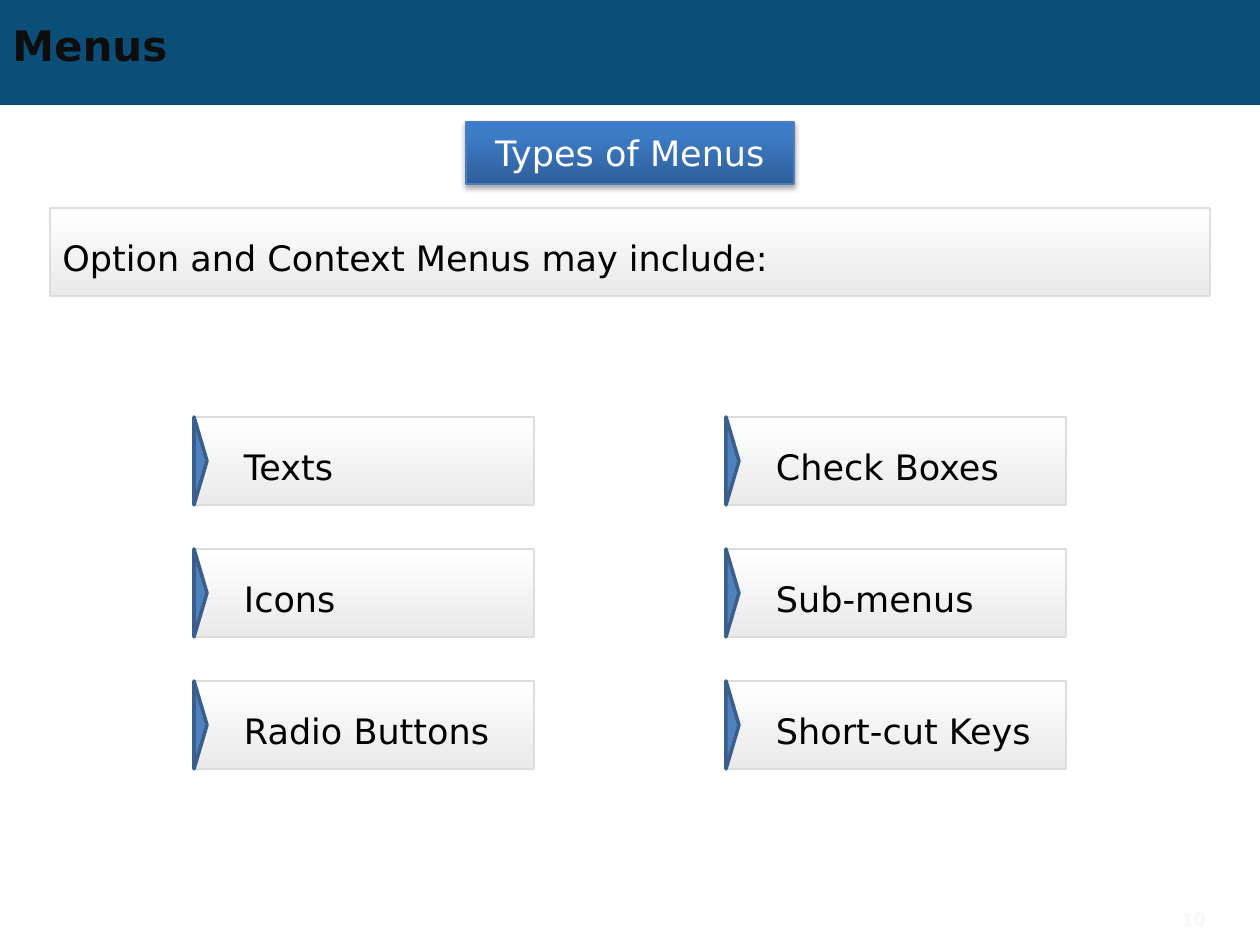
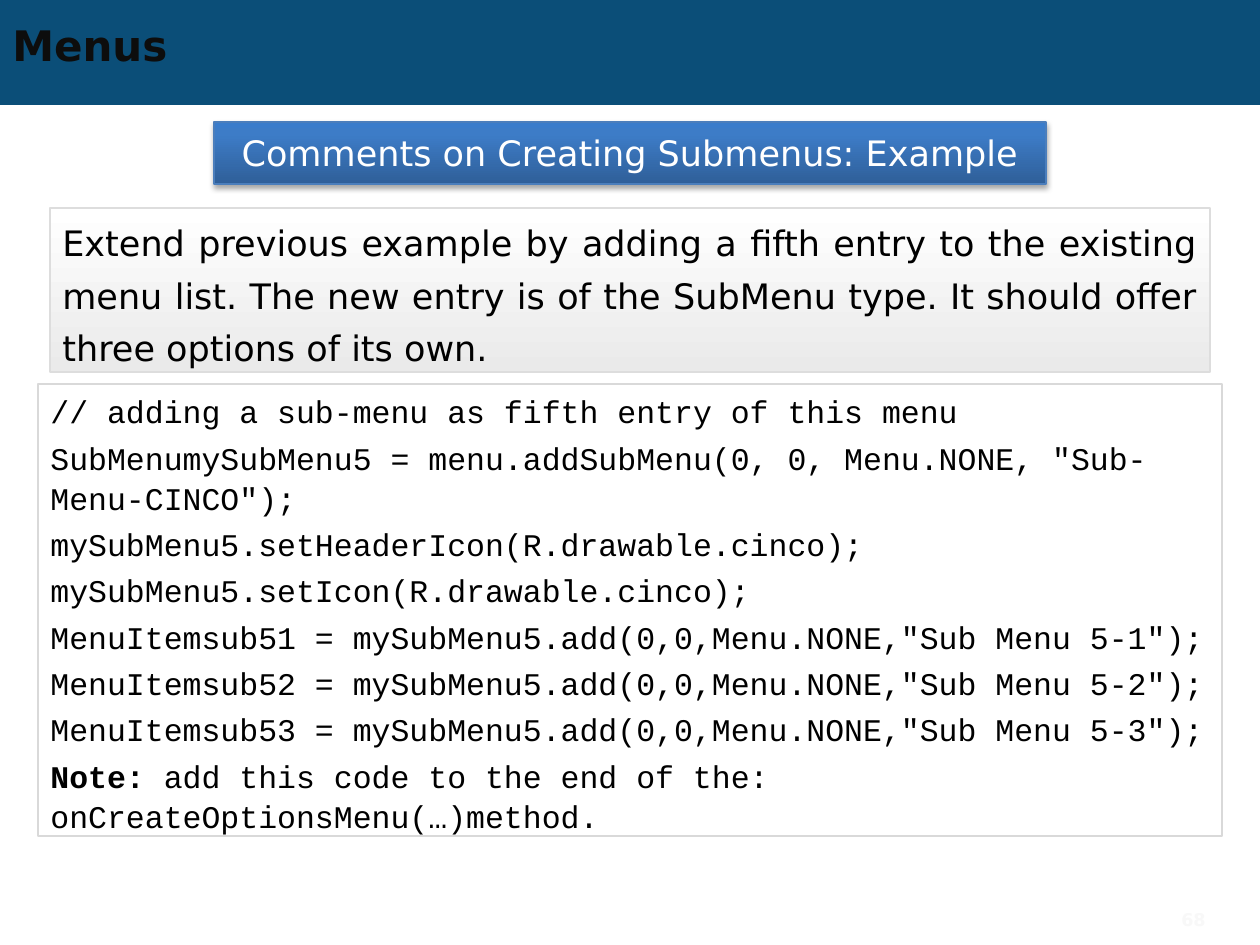
from pptx import Presentation
from pptx.dml.color import RGBColor
from pptx.enum.shapes import MSO_SHAPE as SHAPE
from pptx.enum.text import MSO_ANCHOR as ANCHOR, PP_ALIGN as ALIGN
from pptx.oxml import parse_xml
from pptx.oxml.ns import nsdecls, qn
from pptx.util import Pt

EMU_PER_PX = 914400 / 126
SLIDE_W, SLIDE_H = 1260, 945

BAND = RGBColor(0x0B, 0x4E, 0x78)
TITLE = RGBColor(0x0D, 0x0D, 0x0D)
BLACK = RGBColor(0x00, 0x00, 0x00)
WHITE = RGBColor(0xFF, 0xFF, 0xFF)
PAGE_NUMBER = RGBColor(0xF8, 0xF8, 0xF8)
HEADING_LINE = RGBColor(0x4B, 0x7E, 0xBC)
PANEL_LINE = RGBColor(0xDD, 0xDD, 0xDD)
CODE_LINE = RGBColor(0xD9, 0xD9, 0xD9)
MARKER = RGBColor(0x4F, 0x81, 0xBD)
MARKER_LINE = RGBColor(0x3A, 0x5F, 0x8C)

HEADING_STOPS = [(0, RGBColor(0x2F, 0x5F, 0x99)),
                 (80, RGBColor(0x3D, 0x7C, 0xC7)),
                 (100, RGBColor(0x3A, 0x7C, 0xCB))]
PANEL_STOPS = [(0, WHITE), (100, RGBColor(0xEA, 0xEA, 0xEA))]

SANS, MONO = "DejaVu Sans", "Courier New"

MENU_PARTS = [["Texts", "Icons", "Radio Buttons"],
              ["Check Boxes", "Sub-menus", "Short-cut Keys"]]
CODE = [
    "// adding a sub-menu as fifth entry of this menu",
    'SubMenumySubMenu5 = menu.addSubMenu(0, 0, Menu.NONE, "Sub-Menu-CINCO");',
    "mySubMenu5.setHeaderIcon(R.drawable.cinco);",
    "mySubMenu5.setIcon(R.drawable.cinco);",
    *[f'MenuItemsub5{n} = mySubMenu5.add(0,0,Menu.NONE,"Sub Menu 5-{n}");'
      for n in (1, 2, 3)],
]


def px(n):
    return round(n * EMU_PER_PX)


def add_box(shapes, kind, x, y, w, h, fill=None, line=None, line_pt=1):
    s = shapes.add_shape(kind, px(x), px(y), px(w), px(h))
    s.shadow.inherit = False
    if fill is None:
        s.fill.background()
    else:
        s.fill.solid()
        s.fill.fore_color.rgb = fill
    if line is None:
        s.line.fill.background()
    else:
        s.line.color.rgb = line
        s.line.width = Pt(line_pt)
    s.text_frame.word_wrap = True
    return s


def set_gradient(s, stops, angle):
    """Fill with (percent, colour) stops; angle in degrees clockwise."""
    s.fill.gradient()
    grad = s._element.spPr.find(qn("a:gradFill"))
    gs = "".join(f'<a:gs pos="{pos * 1000}"><a:srgbClr val="{color}"/></a:gs>'
                 for pos, color in stops)
    new = parse_xml(f'<a:gradFill {nsdecls("a")} rotWithShape="1">'
                    f'<a:gsLst>{gs}</a:gsLst>'
                    f'<a:lin ang="{angle * 60000}" scaled="0"/></a:gradFill>')
    grad.getparent().replace(grad, new)


def add_drop_shadow(s):
    effects = s._element.spPr.find(qn("a:effectLst"))
    effects.append(parse_xml(
        f'<a:outerShdw {nsdecls("a")} blurRad="40000" dist="23000" '
        'dir="5400000" rotWithShape="0"><a:srgbClr val="000000">'
        '<a:alpha val="35000"/></a:srgbClr></a:outerShdw>'))


def add_run(p, text, size, color=BLACK, font=SANS, bold=False):
    r = p.add_run()
    r.text = text
    r.font.size, r.font.name, r.font.bold = Pt(size), font, bold
    r.font.color.rgb = color


def add_label(s, x, y, w, h, text, size, color, align=ALIGN.LEFT):
    """Bold text without a box."""
    tf = s.shapes.add_textbox(px(x), px(y), px(w), px(h)).text_frame
    tf.word_wrap = True
    tf.vertical_anchor = ANCHOR.MIDDLE
    p = tf.paragraphs[0]
    p.alignment = align
    add_run(p, text, size, color, bold=True)


def add_heading(slide, text, width):
    s = add_box(slide.shapes, SHAPE.RECTANGLE, (SLIDE_W - width) / 2, 122,
                width, 62, WHITE, HEADING_LINE, 0.75)
    set_gradient(s, HEADING_STOPS, 270)
    add_drop_shadow(s)
    p = s.text_frame.paragraphs[0]
    p.alignment = ALIGN.CENTER
    add_run(p, text, 20, WHITE)


def add_panel(shapes, x, y, w, h, text):
    s = add_box(shapes, SHAPE.RECTANGLE, x, y, w, h, WHITE, PANEL_LINE)
    set_gradient(s, PANEL_STOPS, 90)
    tf = s.text_frame
    tf.vertical_anchor = ANCHOR.MIDDLE
    p = tf.paragraphs[0]
    p.alignment = ALIGN.JUSTIFY
    p.line_spacing = Pt(30)
    add_run(p, text, 20)
    return s


def add_menu_part(slide, x, y, text):
    """Panel with a triangle marker on its left edge."""
    w, h, depth = 340, 88, 13
    shapes = slide.shapes.add_group_shape().shapes
    tf = add_panel(shapes, x, y, w, h, text).text_frame
    tf.margin_left, tf.margin_right = px(50), px(13)
    tf.margin_top = tf.margin_bottom = 0
    marker = add_box(shapes, SHAPE.ISOSCELES_TRIANGLE,
                     x + (depth - h) / 2, y + (h - depth) / 2, h, depth,
                     MARKER, MARKER_LINE, 2)
    marker.rotation = 90


def add_code(slide, lines, note, note_text):
    s = add_box(slide.shapes, SHAPE.RECTANGLE, 38, 384, 1184, 452,
                line=CODE_LINE, line_pt=1.5)
    tf = s.text_frame
    tf.vertical_anchor = ANCHOR.TOP
    rows = [[(line, False)] for line in lines]
    rows.append([(note, True), (note_text, False)])
    for i, row in enumerate(rows):
        p = tf.add_paragraph() if i else tf.paragraphs[0]
        p.alignment = ALIGN.LEFT
        p.line_spacing = 1.06
        if i:
            p.space_before = Pt(3.6)
        for text, bold in row:
            add_run(p, text, 18, font=MONO, bold=bold)


def add_slide(prs, heading, heading_w, number):
    slide = prs.slides.add_slide(prs.slide_layouts[6])
    add_box(slide.shapes, SHAPE.RECTANGLE, 0, 0, SLIDE_W, 105, BAND)
    add_label(slide, 0, 18, 1134, 54, "Menus", 24, TITLE)
    add_label(slide, 1118, 902, 100, 36, number, 10, PAGE_NUMBER, ALIGN.RIGHT)
    add_heading(slide, heading, heading_w)
    return slide


def main():
    prs = Presentation()
    prs.slide_width, prs.slide_height = px(SLIDE_W), px(SLIDE_H)

    slide = add_slide(prs, "Types of Menus", 328, "10")
    add_panel(slide.shapes, 50, 208, 1160, 88,
              "Option and Context Menus may include:")
    for col, names in enumerate(MENU_PARTS):
        for row, name in enumerate(names):
            add_menu_part(slide, 194 + 532 * col, 417 + 132 * row, name)

    slide = add_slide(prs, "Comments on Creating Submenus: Example", 832, "68")
    add_panel(slide.shapes, 50, 208, 1160, 164,
              "Extend previous example by adding a fifth entry to the existing "
              "menu list. The new entry is of the SubMenu type. It should "
              "offer three options of its own.")
    add_code(slide, CODE, "Note:",
             " add this code to the end of the: onCreateOptionsMenu(…)method.")

    prs.save("out.pptx")


if __name__ == "__main__":
    main()
